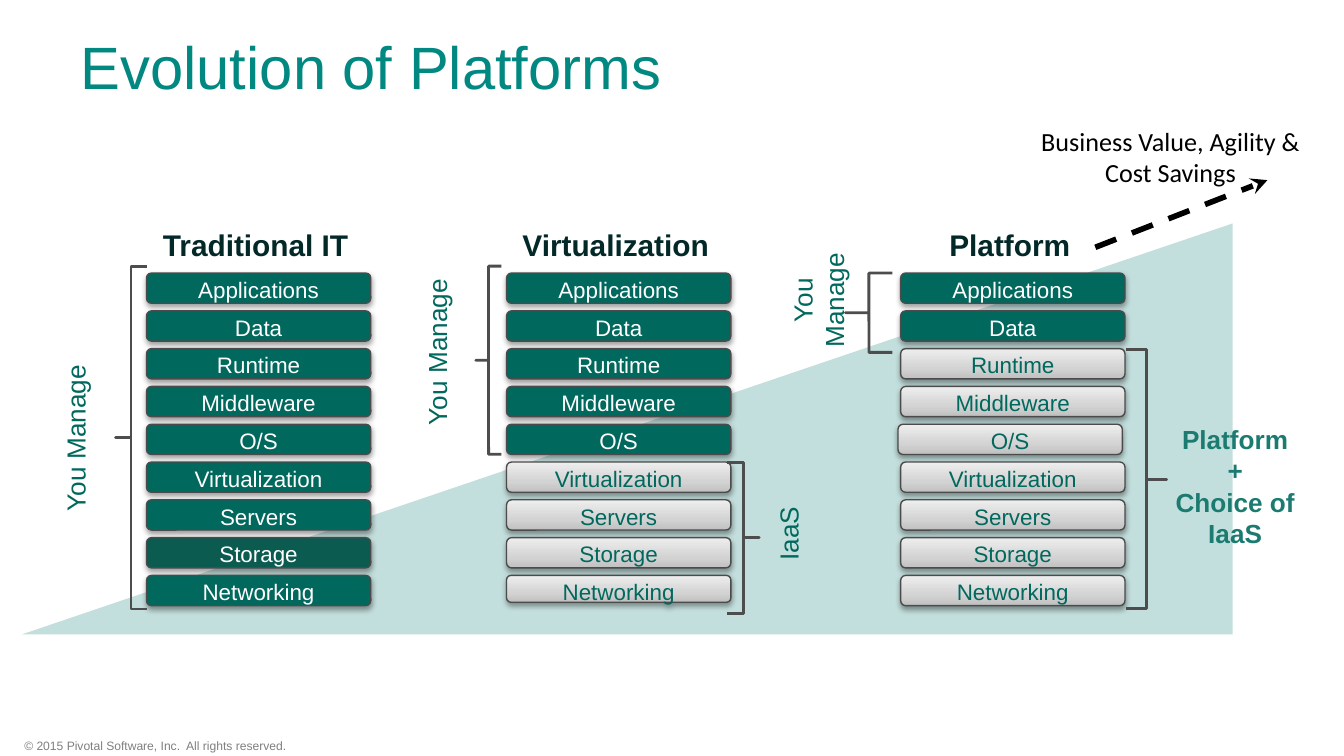
from copy import deepcopy
from dataclasses import dataclass

from lxml.etree import SubElement
from pptx import Presentation
from pptx.dml.color import RGBColor
from pptx.enum.dml import MSO_LINE
from pptx.enum.shapes import MSO_CONNECTOR, MSO_SHAPE
from pptx.enum.text import MSO_ANCHOR, MSO_AUTO_SIZE, PP_ALIGN
from pptx.oxml.ns import qn
from pptx.shapes.autoshape import Shape
from pptx.slide import Slide
from pptx.text.text import TextFrame
from pptx.util import Pt


@dataclass(frozen=True)
class Theme:
    font: str = "Arial"
    note_font: str = "Calibri"
    title: str = "008881"
    heading: str = "032828"
    green: str = "00685D"
    dark_green: str = "0C5B50"
    choice: str = "1C7B70"
    wedge: str = "33928A"
    outline: str = "4B4B4B"
    bracket: str = "4D4D4D"
    footer: str = "7F7F7F"
    white: str = "FFFFFF"
    black: str = "000000"
    silver: tuple = ((0, "C0C0C0"), (0.35, "D3D3D3"), (1, "EEEEEE"))
    title_size: float = 32
    heading_size: float = 16
    label_size: float = 14
    layer_size: float = 12
    footer_size: float = 6.5


@dataclass(frozen=True)
class Box:
    left: float
    top: float
    width: float
    height: float

    def emu(self) -> tuple:
        return Pt(self.left), Pt(self.top), Pt(self.width), Pt(self.height)


@dataclass(frozen=True)
class Column:
    heading: str
    left: float
    managed: int  # layers, from the top, that you run yourself


@dataclass(frozen=True)
class Bracket:
    box: Box
    opens_left: bool = False


@dataclass(frozen=True)
class Label:
    lines: tuple
    box: Box
    rotation: int = 0
    color: str = Theme.green
    size: float = Theme.label_size
    font: str = Theme.font
    bold: bool = False
    align: PP_ALIGN = PP_ALIGN.CENTER


THEME = Theme()
LAYERS = ("Applications", "Data", "Runtime", "Middleware", "O/S",
          "Virtualization", "Servers", "Storage", "Networking")
LAYER_TOP, LAYER_PITCH, LAYER_WIDTH, LAYER_HEIGHT = 146.3, 20.25, 120.2, 16.2
COLUMNS = (
    Column("Traditional IT", 78.5, 9),
    Column("Virtualization", 271.4, 5),
    Column("Platform", 482.5, 2),
)
# Layers that leave the grid or the palette
LEFT_SHIFT = {("Platform", "O/S"): -1.4}
HEIGHT_SHIFT = {("Virtualization", "Networking"): -1.8}
SPECIAL_FILL = {("Traditional IT", "Storage"): THEME.dark_green}
BRACKETS = (
    Bracket(Box(61.9, 142.6, 16.6, 183.6)),
    Bracket(Box(254.9, 142.6, 13.7, 100.8)),
    Bracket(Box(389.5, 247.7, 17.3, 80.9), opens_left=True),
    Bracket(Box(603.4, 187.2, 21.6, 139), opens_left=True),
    Bracket(Box(452.9, 146.3, 25.2, 42.5)),
)
LABELS = (
    Label(("You Manage",), Box(-2.9, 218.9, 86.4, 31.7), 270),
    Label(("You Manage",), Box(190.8, 172.8, 86.4, 31.7), 270),
    Label(("IaaS",), Box(398.2, 270, 48.2, 31.7), 270),
    Label(("You Manage",), Box(402.5, 136.8, 71.3, 48.2), 270),
    Label(("Platform", "+", "Choice of IaaS"), Box(617.8, 224.6, 87.8, 71.6),
          color=THEME.choice, bold=True),
    Label(("Business Value, Agility & Cost Savings",), Box(547.9, 65.5, 158.4, 36.7),
          color=THEME.black, font=THEME.note_font),
    Label(("© 2015 Pivotal Software, Inc.  All rights reserved.",),
          Box(13, 395.3, 179.3, 7.9), color=THEME.footer,
          size=THEME.footer_size, align=PP_ALIGN.LEFT),
)


def rgb(color: str) -> RGBColor:
    return RGBColor.from_string(color)


def write(frame: TextFrame, lines: tuple, size: float, color: str, font: str = THEME.font,
          bold: bool = False, align: PP_ALIGN = PP_ALIGN.CENTER) -> None:
    frame.word_wrap = True
    for index, line in enumerate(lines):
        paragraph = frame.add_paragraph() if index else frame.paragraphs[0]
        paragraph.alignment = align
        run = paragraph.add_run()
        run.text = line
        run.font.name, run.font.size, run.font.bold = font, Pt(size), bold
        run.font.color.rgb = rgb(color)


def set_insets(frame: TextFrame, left: float = 0, top: float = 0) -> None:
    frame.margin_left, frame.margin_top = Pt(left), Pt(top)
    frame.margin_right = frame.margin_bottom = 0


def add_plain(slide: Slide, kind: MSO_SHAPE, box: Box, flipped: bool = False) -> Shape:
    shape = slide.shapes.add_shape(kind, *box.emu())
    shape.shadow.inherit = False
    if flipped:
        shape._element.spPr.find(qn("a:xfrm")).set("flipH", "1")
    return shape


def fill_silver(shape: Shape) -> None:
    shape.fill.gradient()
    shape.fill.gradient_angle = 90
    stop_list = shape._element.spPr.find(qn("a:gradFill")).find(qn("a:gsLst"))
    stop_list.insert(1, deepcopy(stop_list[0]))
    for stop, (position, color) in zip(shape.fill.gradient_stops, THEME.silver):
        stop.position, stop.color.rgb = position, rgb(color)


def add_soft_shadow(shape: Shape) -> None:
    effects = shape._element.spPr.find(qn("a:effectLst"))
    shadow = SubElement(effects, qn("a:outerShdw"), blurRad=str(Pt(3.1)),
                        dist=str(Pt(1.6)), dir="5400000", rotWithShape="0")
    SubElement(SubElement(shadow, qn("a:srgbClr"), val=THEME.black), qn("a:alpha"), val="38000")


def add_layer(slide: Slide, column: Column, row: int) -> None:
    name = LAYERS[row]
    key = (column.heading, name)
    managed = row < column.managed
    layer = add_plain(slide, MSO_SHAPE.ROUNDED_RECTANGLE, Box(
        column.left + LEFT_SHIFT.get(key, 0), LAYER_TOP + row * LAYER_PITCH,
        LAYER_WIDTH, LAYER_HEIGHT + HEIGHT_SHIFT.get(key, 0)))
    if managed:
        layer.fill.solid()
        layer.fill.fore_color.rgb = rgb(SPECIAL_FILL.get(key, THEME.green))
    else:
        fill_silver(layer)
    layer.line.color.rgb, layer.line.width = rgb(THEME.outline), Pt(0.75)
    add_soft_shadow(layer)
    layer.text_frame.vertical_anchor = MSO_ANCHOR.TOP
    write(layer.text_frame, (name,), THEME.layer_size, THEME.white if managed else THEME.green)
    layer.text_frame.paragraphs[0].line_spacing = 0.8


def add_column(slide: Slide, column: Column) -> None:
    heading = slide.shapes.add_textbox(*Box(column.left - 41.5, 105.8, 185, 221).emu())
    set_insets(heading.text_frame, left=15, top=15.8)
    write(heading.text_frame, (column.heading,), THEME.heading_size, THEME.heading, bold=True)
    for row in range(len(LAYERS)):
        add_layer(slide, column, row)


def add_bracket(slide: Slide, bracket: Bracket) -> None:
    brace = add_plain(slide, MSO_SHAPE.LEFT_BRACE, bracket.box, bracket.opens_left)
    brace.adjustments[0], brace.adjustments[1] = 0, 0.5
    brace.fill.background()
    brace.line.color.rgb, brace.line.width = rgb(THEME.bracket), Pt(1.5)


def add_label(slide: Slide, label: Label) -> None:
    caption = slide.shapes.add_textbox(*label.box.emu())
    caption.rotation = label.rotation
    set_insets(caption.text_frame)
    caption.text_frame.vertical_anchor = MSO_ANCHOR.MIDDLE
    write(caption.text_frame, label.lines, label.size, label.color, label.font,
          label.bold, label.align)


def add_title(slide: Slide, text: str) -> None:
    title = slide.shapes.title
    title.left, title.top, title.width, title.height = Box(36, 1.4, 648, 67.7).emu()
    title.text_frame.auto_size = MSO_AUTO_SIZE.NONE
    title.text_frame.vertical_anchor = MSO_ANCHOR.MIDDLE
    write(title.text_frame, (text,), THEME.title_size, THEME.title, align=PP_ALIGN.LEFT)


def add_wedge(slide: Slide) -> None:
    wedge = add_plain(slide, MSO_SHAPE.RIGHT_TRIANGLE, Box(11.7, 119.7, 648.7, 220.2), True)
    wedge.fill.solid()
    wedge.fill.fore_color.rgb = rgb(THEME.wedge)
    wedge.line.fill.background()
    color = wedge._element.spPr.find(qn("a:solidFill"))[0]
    SubElement(color, qn("a:alpha"), val="29000")


def add_value_arrow(slide: Slide) -> None:
    arrow = slide.shapes.add_connector(MSO_CONNECTOR.STRAIGHT, Pt(586.8), Pt(132.5),
                                       Pt(679), Pt(96.5))
    arrow.line.color.rgb, arrow.line.width = rgb(THEME.black), Pt(3)
    arrow.line.dash_style = MSO_LINE.DASH
    SubElement(arrow.line._get_or_add_ln(), qn("a:tailEnd"), type="stealth")
    SubElement(arrow._element.spPr, qn("a:effectLst"))


def main() -> None:
    deck = Presentation()
    deck.slide_width, deck.slide_height = Pt(720), Pt(405)
    slide = deck.slides.add_slide(deck.slide_layouts[5])
    add_wedge(slide)
    add_title(slide, "Evolution of Platforms")
    for column in COLUMNS:
        add_column(slide, column)
    for bracket in BRACKETS:
        add_bracket(slide, bracket)
    add_value_arrow(slide)
    for label in LABELS:
        add_label(slide, label)
    deck.save("out.pptx")


if __name__ == "__main__":
    main()
